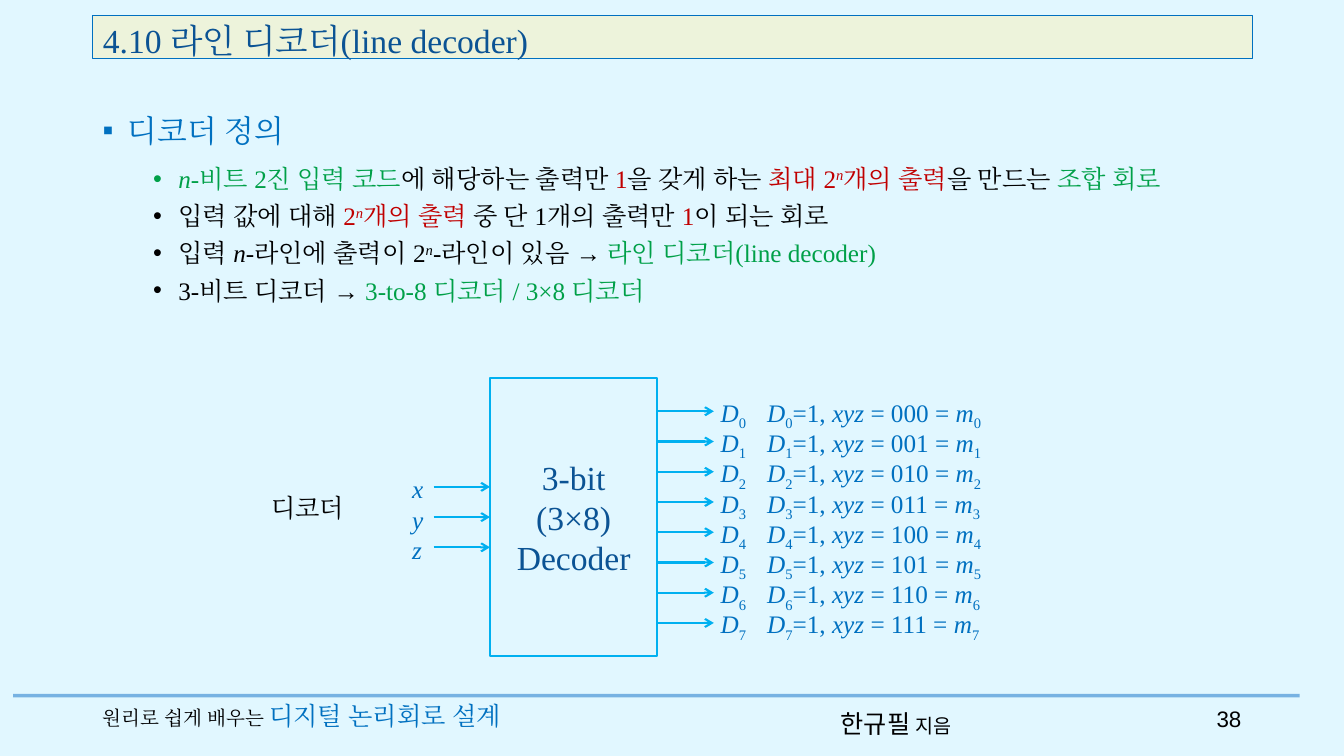
from lxml import etree
from pptx import Presentation, util as u
from pptx.dml.color import RGBColor
from pptx.enum import shapes, text
from pptx.oxml.ns import qn

SKY = RGBColor(0xE1, 0xF7, 0xFF)
CREAM = RGBColor(0xED, 0xF3, 0xDB)
NAVY = RGBColor(0x0B, 0x53, 0x94)
BLUE = RGBColor(0x00, 0x70, 0xC0)
CYAN = RGBColor(0x00, 0xB0, 0xF0)
RULE = RGBColor(0x0F, 0x6F, 0xC6)
BLACK = RGBColor(0x00, 0x00, 0x00)
GREEN = RGBColor(0x00, 0xA0, 0x48)
RED = RGBColor(0xC0, 0x00, 0x00)

SERIF, SANS, KOREAN = "Times New Roman", "Arial", "Noto Sans CJK KR"
ITALIC = {"italic": True}
POWER = {"italic": True, "base": 30}
SUB = {"base": -25}
GREEN_TEXT, RED_TEXT = {"color": GREEN}, {"color": RED}

DEFINITION = [
    [("n", {**ITALIC, **GREEN_TEXT}), ("-비트 2진 입력 코드", GREEN_TEXT),
     ("에 해당하는 출력만 ", {}), ("1", RED_TEXT), ("을 갖게 하는 ", {}),
     ("최대 2", RED_TEXT), ("n", {**POWER, **RED_TEXT}), ("개의 출력", RED_TEXT),
     ("을 만드는 ", {}), ("조합 회로", GREEN_TEXT)],
    [("입력 값에 대해 ", {}), ("2", RED_TEXT), ("n", {**POWER, **RED_TEXT}),
     ("개의 출력 ", RED_TEXT), ("중 단 1개의 출력만 ", {}), ("1", RED_TEXT),
     ("이 되는 회로", {})],
    [("입력 ", {}), ("n", ITALIC), ("-라인에 출력이 2", {}), ("n", POWER),
     ("-라인이 있음 → ", {}), ("라인 디코더(line decoder)", GREEN_TEXT)],
    [("3-비트 디코더 → ", {}), ("3-to-8 디코더 / 3×8 디코더", GREEN_TEXT)],
]


def add_span(para, words, size=18, color=BLACK, font=SERIF, italic=False, base=0):
    """Append a run; base is the raise (or drop) in percent."""
    span = para.add_run()
    span.text = words
    span.font.size = u.Pt(size)
    span.font.name = font
    span.font.italic = italic
    span.font.color.rgb = color
    props = span.font._element
    if base:
        props.set("baseline", str(base * 1000))
    latin = props.find(qn("a:latin"))
    east_asian = etree.Element(qn("a:ea"), typeface=font)
    latin.addnext(east_asian)


def add_spans(para, spans, **style):
    for words, extra in spans:
        add_span(para, words, **{**style, **extra})


def add_box(page, left, top, width, height):
    box = page.shapes.add_textbox(*map(u.Inches, (left, top, width, height)))
    box.text_frame.word_wrap = True
    return box.text_frame


def add_label(page, left, top, width, height, spans, **style):
    para = add_box(page, left, top, width, height).paragraphs[0]
    add_spans(para, spans, **style)
    return para


def set_bullet(para, mark, indent):
    props = para._p.get_or_add_pPr()
    props.set("marL", str(u.Inches(indent)))
    props.set("indent", str(u.Inches(-0.25)))
    etree.SubElement(props, qn("a:buFont"), typeface=SANS)
    etree.SubElement(props, qn("a:buChar"), char=mark)


def add_line(page, left, right, y, color, weight):
    line = page.shapes.add_connector(
        shapes.MSO_CONNECTOR.STRAIGHT,
        u.Inches(left), u.Inches(y), u.Inches(right), u.Inches(y))
    line.line.color.rgb = color
    line.line.width = u.Pt(weight)
    etree.SubElement(line._element.spPr, qn("a:effectLst"))
    return line


def add_arrow(page, left, right, y):
    arrow = add_line(page, left, right, y, CYAN, 1.5)
    etree.SubElement(arrow.line._get_or_add_ln(), qn("a:tailEnd"), type="arrow")
    return arrow


def fill_title(page, left, top, width, height):
    title = page.shapes.title
    title.left, title.top, title.width, title.height = map(
        u.Inches, (left, top, width, height))
    title.fill.solid()
    title.fill.fore_color.rgb = CREAM
    title.line.color.rgb = BLUE
    title.line.width = u.Pt(0.75)
    frame = title.text_frame
    frame.auto_size = text.MSO_AUTO_SIZE.NONE
    frame.vertical_anchor = text.MSO_ANCHOR.TOP
    para = frame.paragraphs[0]
    para.alignment = text.PP_ALIGN.LEFT
    add_span(para, "4.10 라인 디코더(line decoder)", size=24, color=NAVY)


def add_definition(page, left, top, width):
    heading = add_label(page, left, top, width, 0.56, [("디코더 정의", {})],
                        size=22, color=BLUE)
    heading.line_spacing = 1.3
    heading.space_before = u.Pt(10)
    set_bullet(heading, "▪", 0.25)
    frame = add_box(page, left, top + 0.62, width, 1.56)
    for index, spans in enumerate(DEFINITION):
        para = frame.add_paragraph() if index else frame.paragraphs[0]
        para.space_before = u.Pt(5)
        set_bullet(para, "•", 0.75)
        add_spans(para, spans)


def add_decoder_block(page, left, top, width, height):
    block = page.shapes.add_shape(
        shapes.MSO_SHAPE.RECTANGLE, *map(u.Inches, (left, top, width, height)))
    block.shadow.inherit = False
    block.fill.background()
    block.line.color.rgb = CYAN
    block.line.width = u.Pt(1.5)
    frame = block.text_frame
    frame.vertical_anchor = text.MSO_ANCHOR.MIDDLE
    for index, words in enumerate(["3-bit", "(3×8)", "Decoder"]):
        para = frame.add_paragraph() if index else frame.paragraphs[0]
        para.alignment = text.PP_ALIGN.CENTER
        add_span(para, words, size=24, color=NAVY)
    return block


def add_decoder(page, left, top, width, height):
    """Block with its caption, three inputs and eight outputs around it."""
    block = add_decoder_block(page, left, top, width, height)
    middle, right, pitch = top + height / 2, left + width, 0.3
    add_label(page, left - 2.27, middle - 0.3, 1.02, 0.71, []).text = ""
    return block, middle, right, pitch


def add_inputs(page, block, left, middle, pitch):
    for index, name in enumerate("xyz"):
        y = middle + (index - 1) * pitch
        arrow = add_arrow(page, left - 0.56, left, y)
        if index == 1:
            arrow.end_connect(block, 1)
        add_label(page, left - 0.87, y - 0.18, 0.35, 0.39, [(name, ITALIC)],
                  color=BLUE)


def add_outputs(page, right, middle, pitch):
    for index in range(8):
        y = middle + (index - 3.5) * pitch
        output = [("D", ITALIC), (str(index), SUB)]
        condition = output + [
            ("=1, ", {}), ("xyz ", ITALIC), (f"= {index:03b} = ", {}),
            ("m", ITALIC), (str(index), SUB)]
        add_arrow(page, right, right + 0.56, y)
        add_label(page, right + 0.53, y - 0.19, 0.5, 0.39, output, color=BLUE)
        add_label(page, right + 0.99, y - 0.19, 2.5, 0.39, condition, color=BLUE)


def add_diagram(page, left, top, width, height):
    block = add_decoder_block(page, left, top, width, height)
    middle, pitch = top + height / 2, 0.3
    add_inputs(page, block, left, middle, pitch)
    add_outputs(page, left + width, middle, pitch)
    add_label(page, left - 2.27, middle - 0.3, 1.02, 0.71, [("디코더", {})])
    return block


def add_footer(page, top):
    rule = add_line(page, 0.13, 12.89, top, RULE, 2.5)
    tint = rule.line._get_or_add_ln().find(".//" + qn("a:srgbClr"))
    etree.SubElement(tint, qn("a:alpha"), val="50000")
    add_label(page, 8.24, top + 0.08, 1.53, 0.4,
              [("한규필 ", {}), ("지음", {"size": 14})], font=KOREAN)
    add_label(page, 0.92, top, 4.63, 0.4,
              [("원리로 쉽게 배우는 ", {"size": 14}),
               ("디지털 논리회로 설계", {"color": BLUE})])
    number = add_label(page, 11.79, top + 0.05, 0.62, 0.4, [("38", {})],
                       size=16, font=SANS)
    number.alignment = text.PP_ALIGN.RIGHT


def main():
    deck = Presentation()
    deck.slide_width, deck.slide_height = u.Inches(13.33), u.Inches(7.5)
    page = deck.slides.add_slide(deck.slide_layouts[5])
    page.background.fill.solid()
    page.background.fill.fore_color.rgb = SKY
    fill_title(page, 0.92, 0.15, 11.5, 0.43)
    add_definition(page, 0.92, 0.95, 11.5)
    add_diagram(page, 4.86, 3.75, 1.66, 2.76)
    add_footer(page, 6.9)
    deck.save("out.pptx")


if __name__ == "__main__":
    main()
